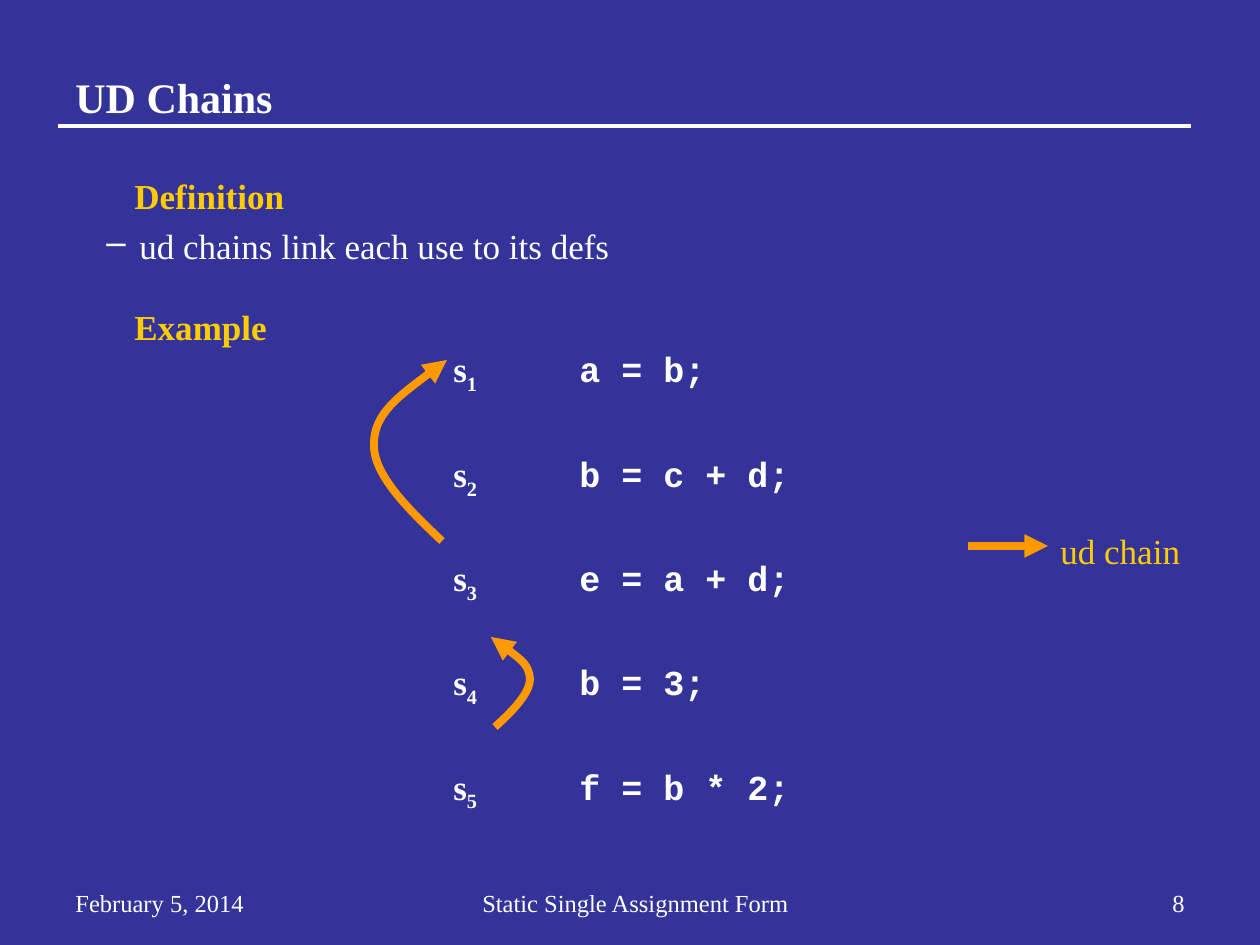
from pptx import Presentation
from pptx.dml.color import RGBColor
from pptx.enum.shapes import MSO_CONNECTOR as CONN
from pptx.enum.text import MSO_ANCHOR as ANCHOR, PP_ALIGN as ALIGN
from pptx.oxml.ns import qn
from pptx.util import Pt
from lxml.etree import SubElement

PX = 914400 / 126
BLUE = RGBColor(0x33, 0x33, 0x99)
WHITE = RGBColor(0xFF, 0xFF, 0xFF)
GOLD = RGBColor(0xFF, 0xCC, 0x00)
ORANGE = RGBColor(0xFF, 0x99, 0x00)
SERIF, MONO = "Times New Roman", "Courier New"
CODE = ["a = b;", "b = c + d;", "e = a + d;", "b = 3;", "f = b * 2;"]


def px(n):
    return round(n * PX)


def add_box(s, box, anchor=ANCHOR.TOP, wrap=True):
    tf = s.shapes.add_textbox(*map(px, box)).text_frame
    tf.word_wrap = wrap
    tf.vertical_anchor = anchor
    return tf


def add_par(tf, first=False, before=0, align=ALIGN.LEFT):
    p = tf.paragraphs[0] if first else tf.add_paragraph()
    p.space_before = Pt(before)
    p.alignment = align
    return p


def add_run(p, text, size=20, color=WHITE, bold=False, font=SERIF):
    r = p.add_run()
    r.text = text
    f = r.font
    f.name, f.size, f.bold = font, Pt(size), bold
    f.color.rgb = color
    return r


def indent(p, left, hang=0, bullet=None):
    pPr = p._p.get_or_add_pPr()
    pPr.set("marL", str(px(left)))
    pPr.set("indent", str(-px(hang)))
    if bullet:
        SubElement(pPr, qn("a:buChar")).set("char", bullet)


def set_tabs(p, stops):
    tabs = SubElement(p._p.get_or_add_pPr(), qn("a:tabLst"))
    for stop in stops:
        tab = SubElement(tabs, qn("a:tab"))
        tab.set("pos", str(px(stop)))
        tab.set("algn", "l")


def style_line(line, color, width, arrow=False):
    line.color.rgb = color
    line.width = Pt(width)
    if arrow:
        SubElement(line._get_or_add_ln(), qn("a:tailEnd")).set("type", "triangle")


def add_line(s, x1, x2, y, color, width, arrow=False):
    c = s.shapes.add_connector(CONN.STRAIGHT, px(x1), px(y), px(x2), px(y))
    style_line(c.line, color, width, arrow)
    SubElement(c._element.spPr, qn("a:effectLst"))


def add_curve(s, start, *points):
    """Arrow along cubic curves; each three points are two controls and an end."""
    fb = s.shapes.build_freeform(*start, scale=PX)
    fb.add_line_segments(points, close=False)
    sp = fb.convert_to_shape()
    sp.shadow.inherit = False
    sp.fill.background()
    style_line(sp.line, ORANGE, 4.5, arrow=True)
    segments = list(sp._element.iter(qn("a:lnTo")))
    outline = segments[0].getparent()
    for i in range(0, len(segments), 3):
        curve = SubElement(outline, qn("a:cubicBezTo"))
        for seg in segments[i:i + 3]:
            curve.append(seg[0])
            outline.remove(seg)


def add_title(s, x, y, w, h):
    tf = add_box(s, (x, y, w, h), ANCHOR.MIDDLE)
    add_run(add_par(tf, first=True), "UD Chains", 24, bold=True)
    add_line(s, x - 5, x + w - 6, y + 73, WHITE, 2)


def add_body(s, box):
    tf = add_box(s, box)
    p = add_par(tf, first=True, before=5)
    indent(p, 59)
    add_run(p, "Definition", color=GOLD, bold=True)
    p = add_par(tf, before=5)
    indent(p, 64, 33, "–")
    add_run(p, "ud chains link each use to its defs")
    p = add_par(tf, before=22)
    indent(p, 59)
    add_run(p, "Example", color=GOLD, bold=True)


def add_code(s, x, y, w, h):
    tf = add_box(s, (x, y, w, h))
    for i, code in enumerate(CODE, 1):
        p = add_par(tf, first=i == 1, before=5)
        p.line_spacing = 2.0
        set_tabs(p, (378, 504))
        add_run(p, "\ts", bold=True)
        sub = add_run(p, f"{i}\t", bold=True)
        sub.font._element.set("baseline", "-25000")
        add_run(p, code, bold=True, font=MONO)
    add_curve(s, (x + 379, y + 247), (x + 344, y + 214), (x + 310, y + 180),
              (x + 311, y + 150), (x + 311, y + 119), (x + 348, y + 93),
              (x + 384, y + 66))
    add_curve(s, (x + 432, y + 433), (x + 450, y + 417), (x + 467, y + 399),
              (x + 467, y + 385), (x + 466, y + 370), (x + 447, y + 357),
              (x + 428, y + 343))


def add_legend(s, x, y, w, h):
    add_line(s, x, x + 80, y + 23, ORANGE, 4.5, arrow=True)
    tf = add_box(s, (x + 80, y, w - 80, h), wrap=False)
    add_run(add_par(tf, first=True, before=5), "ud chain", color=GOLD)


def add_footer(s, x, y, w, h):
    parts = [("February 5, 2014", x, 231, ALIGN.LEFT),
             ("Static Single Assignment Form", x + 273, 599, ALIGN.CENTER),
             ("8", x + w - 116, 116, ALIGN.RIGHT)]
    for text, left, width, align in parts:
        tf = add_box(s, (left, y, width, h))
        add_run(add_par(tf, first=True, align=align), text, 14)


def main():
    prs = Presentation()
    prs.slide_width, prs.slide_height = px(1260), px(945)
    s = prs.slides.add_slide(prs.slide_layouts[6])
    s.background.fill.solid()
    s.background.fill.fore_color.rgb = BLUE
    add_title(s, 63, 53, 1134, 88)
    add_body(s, (63, 168, 1134, 703))
    add_code(s, 63, 294, 1134, 577)
    add_legend(s, 968, 523, 225, 55)
    add_footer(s, 63, 882, 1134, 44)
    prs.save("out.pptx")


if __name__ == "__main__":
    main()
